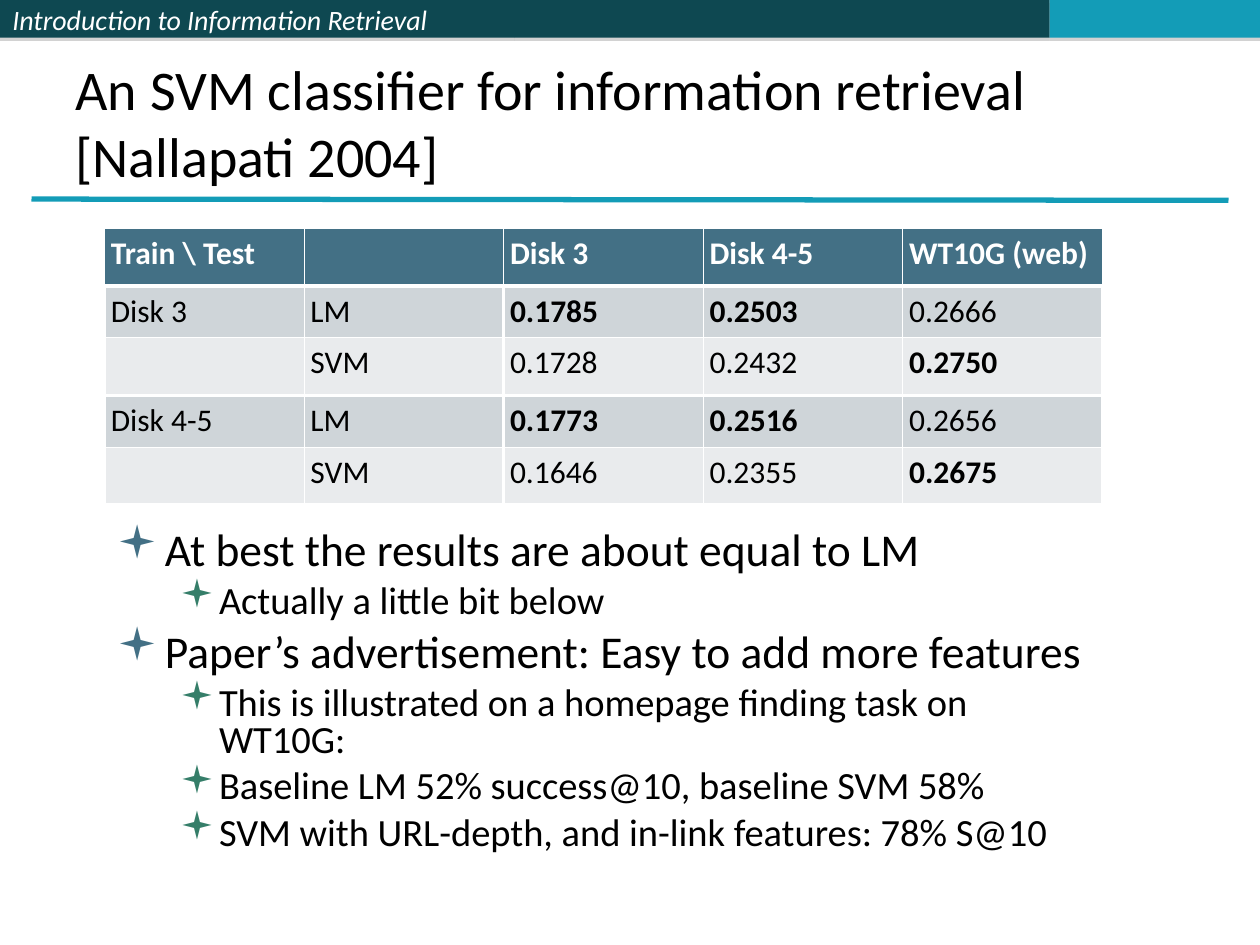
from dataclasses import dataclass

from lxml import etree
from pptx import Presentation
from pptx.dml.color import RGBColor
from pptx.enum.shapes import MSO_CONNECTOR, MSO_SHAPE
from pptx.enum.text import MSO_ANCHOR, PP_ALIGN
from pptx.oxml.ns import qn
from pptx.util import Inches, Pt

RECT = MSO_SHAPE.RECTANGLE
STRAIGHT = MSO_CONNECTOR.STRAIGHT
MIDDLE, TOP, BOTTOM = MSO_ANCHOR.MIDDLE, MSO_ANCHOR.TOP, MSO_ANCHOR.BOTTOM
LEFT = PP_ALIGN.LEFT


@dataclass(frozen=True)
class Theme:
    font: str = "Calibri"
    text: str = "000000"
    white: str = "FFFFFF"
    band: str = "0E4851"
    accent: str = "139CB7"
    shadow: str = "808080"
    table_head: str = "437085"
    table_rows: tuple = ("CFD5D9", "E9EBED")
    bullets: tuple = ("437085", "357E69")
    band_size: float = 16
    title_size: float = 32
    table_size: float = 18
    body_sizes: tuple = (26, 22)
    body_gaps: tuple = (6.5, 5.5)
    thin: float = 0.45
    thick: float = 2.21


T = Theme()

ROWS = [
    ("Train \\ Test", "", "Disk 3", "Disk 4-5", "WT10G (web)"),
    ("Disk 3", "LM", "0.1785", "0.2503", "0.2666"),
    ("", "SVM", "0.1728", "0.2432", "0.2750"),
    ("Disk 4-5", "LM", "0.1773", "0.2516", "0.2656"),
    ("", "SVM", "0.1646", "0.2355", "0.2675"),
]
BEST = {"0.1785", "0.2503", "0.2750", "0.1773", "0.2516", "0.2675"}

POINTS = [
    (0, "At best the results are about equal to LM"),
    (1, "Actually a little bit below"),
    (0, "Paper’s advertisement: Easy to add more features"),
    (1, "This is illustrated on a homepage finding task on WT10G:"),
    (1, "Baseline LM 52% success@10, baseline SVM 58%"),
    (1, "SVM with URL-depth, and in-link features: 78% S@10"),
]


def rgb(color):
    return RGBColor.from_string(color)


def add_xml(parent, tag, **attrs):
    return etree.SubElement(parent, qn(tag), {k: str(v) for k, v in attrs.items()})


def write(p, text, size, color=T.text, bold=False, italic=False):
    p.alignment = LEFT
    r = p.add_run()
    r.text = text
    f = r.font
    f.name, f.size, f.bold, f.italic = T.font, Pt(size), bold, italic
    f.color.rgb = rgb(color)


def add_band(s, left, top, width, height, color, text=""):
    sp = s.shapes.add_shape(RECT, Inches(left), Inches(top), Inches(width), Inches(height))
    sp.fill.solid()
    sp.fill.fore_color.rgb = rgb(color)
    sp.line.fill.background()
    # Thin grey shadow straight below the band
    effects = add_xml(sp._element.spPr, "a:effectLst")
    shadow = add_xml(effects, "a:outerShdw", blurRad=0, dist=Pt(1.8), dir=5400000,
                     rotWithShape=0)
    add_xml(add_xml(shadow, "a:srgbClr", val=T.shadow), "a:alpha", val=35000)
    if text:
        tf = sp.text_frame
        tf.word_wrap = True
        tf.vertical_anchor = MIDDLE
        write(tf.paragraphs[0], text, T.band_size, T.white, italic=True)


def add_header(s, left, top, height):
    bands = [(4.08, T.band, "Introduction to Information Retrieval"),
             (4.25, T.band, ""), (1.67, T.accent, "")]
    for width, color, text in bands:
        add_band(s, left, top, width, height, color, text)
        left += width


def add_title(s, left, top, width, height):
    sp = s.shapes.title
    sp.left, sp.top, sp.width, sp.height = map(Inches, (left, top, width, height))
    tf = sp.text_frame
    tf.word_wrap = True
    tf.vertical_anchor = BOTTOM
    write(tf.paragraphs[0], "An SVM classifier for information retrieval [Nallapati 2004]",
          T.title_size)
    # Rule under the title
    line = s.shapes.add_connector(STRAIGHT, Inches(0.25), Inches(1.58),
                                  Inches(9.75), Inches(1.59))
    line.line.color.rgb = rgb(T.accent)
    line.line.width = Pt(3)
    add_xml(line._element.spPr, "a:effectLst")


def set_borders(cell, heavy):
    """Draw white borders, thick on the sides named in heavy."""
    tcPr = cell._tc.get_or_add_tcPr()
    for i, side in enumerate("LRTB"):
        width = T.thick if side in heavy else T.thin
        ln = etree.Element(qn(f"a:ln{side}"), {"w": str(Pt(width))})
        add_xml(add_xml(ln, "a:solidFill"), "a:srgbClr", val=T.white)
        tcPr.insert(i, ln)


def heavy_sides(row, col):
    """Thick lines frame the body, each pair of rows and the label columns."""
    if row == 0:
        return "B"
    across = {0: "L", 1: "R", 2: "L", 4: "R"}.get(col, "")
    return across + ("T" if row % 2 else "B")


def add_results(s, left, top, width, height):
    n_cols = len(ROWS[0])
    tbl = s.shapes.add_table(len(ROWS), n_cols, Inches(left), Inches(top),
                             Inches(width), Inches(height)).table
    tbl.horz_banding = False
    for col in tbl.columns:
        col.width = Inches(width / n_cols)
    for i, values in enumerate(ROWS):
        # Rows with a blank cell stand a little taller
        tbl.rows[i].height = Inches(0.46 if "" in values else 0.41)
        for j, value in enumerate(values):
            cell = tbl.cell(i, j)
            cell.margin_left = cell.margin_right = Inches(0.05)
            cell.margin_top = cell.margin_bottom = Inches(0.05)
            cell.vertical_anchor = TOP
            cell.fill.solid()
            cell.fill.fore_color.rgb = rgb(T.table_rows[(i - 1) % 2] if i else T.table_head)
            set_borders(cell, heavy_sides(i, j))
            if value:
                write(cell.text_frame.paragraphs[0], value, T.table_size,
                      T.text if i else T.white, bold=i == 0 or value in BEST)


def add_bullet(p, level):
    pPr = p._p.get_or_add_pPr()
    margin, hang = ((0.38, 0.38), (0.81, 0.31))[level]
    pPr.set("marL", str(Inches(margin)))
    pPr.set("indent", str(-Inches(hang)))
    add_xml(add_xml(pPr, "a:buClr"), "a:srgbClr", val=T.bullets[level])
    add_xml(pPr, "a:buFont", typeface="Wingdings")
    add_xml(pPr, "a:buChar", char="▪")


def add_points(s, left, top, width, height):
    tf = s.shapes.add_textbox(Inches(left), Inches(top), Inches(width),
                              Inches(height)).text_frame
    tf.word_wrap = True
    for i, (level, text) in enumerate(POINTS):
        p = tf.add_paragraph() if i else tf.paragraphs[0]
        add_bullet(p, level)
        p.level = level
        p.line_spacing = 0.8
        p.space_before = Pt(T.body_gaps[level] if i else 0)
        write(p, text, T.body_sizes[level])


def main():
    prs = Presentation()
    prs.slide_width, prs.slide_height = Inches(10), Inches(7.5)
    s = prs.slides.add_slide(prs.slide_layouts[5])
    add_header(s, 0, 0, 0.3)
    add_title(s, 0.5, 0.3, 9, 1.25)
    add_results(s, 0.83, 1.81, 7.92, 2.2)
    add_points(s, 0.83, 4.17, 7.92, 2.92)
    prs.save("out.pptx")


if __name__ == "__main__":
    main()
